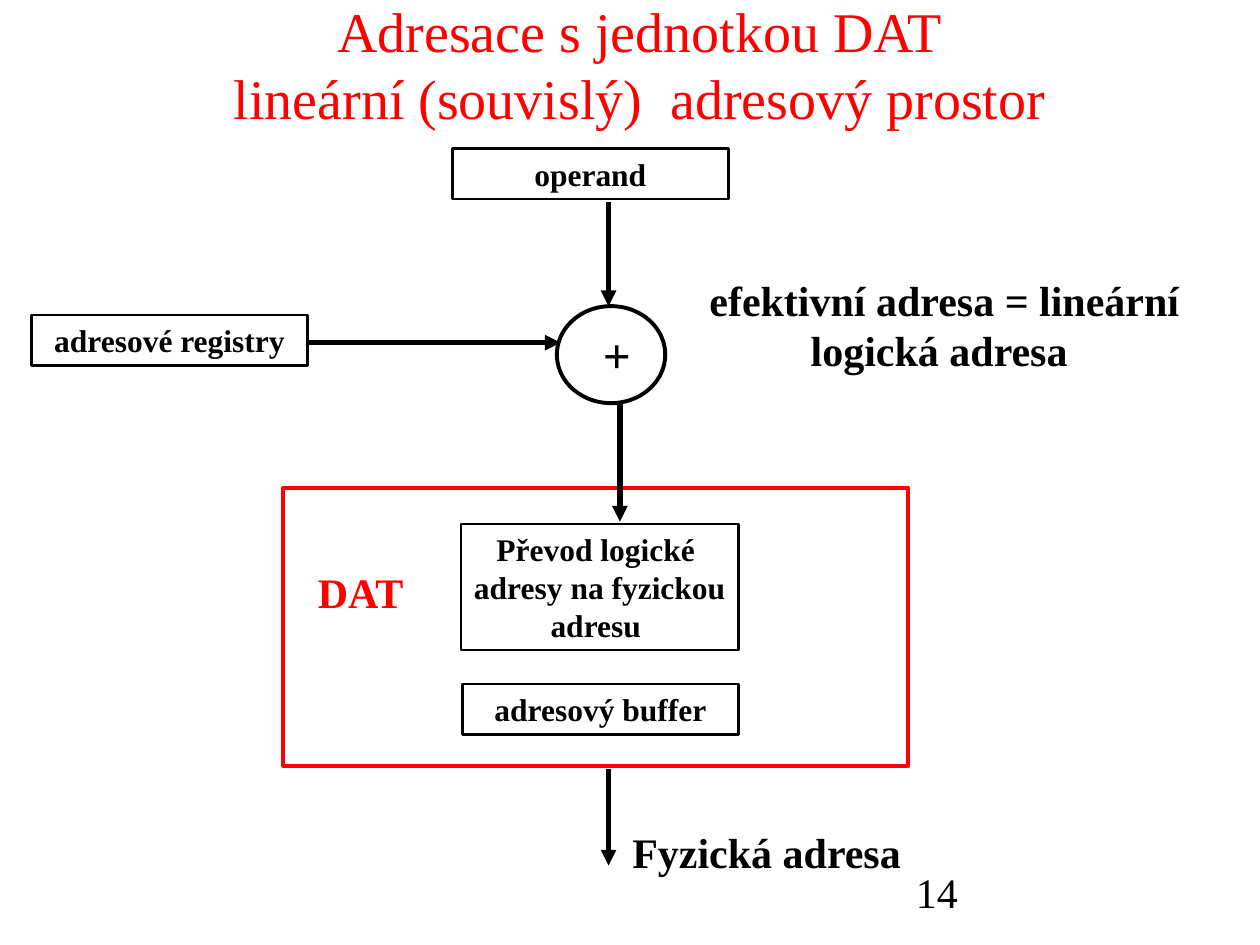
from lxml import etree
from pptx import Presentation
from pptx.dml.color import RGBColor
from pptx.enum.shapes import MSO_CONNECTOR, MSO_SHAPE
from pptx.enum.text import MSO_ANCHOR, MSO_AUTO_SIZE, PP_ALIGN
from pptx.oxml.ns import qn
from pptx.util import Inches, Pt

FONT = "Times New Roman"
BLACK, RED = "000000", "FF0000"
COLUMNS = 100
WIDTH, HEIGHT = Inches(10), Inches(7.5)


def color(hex_string):
    return RGBColor.from_string(hex_string)


def grid(*cells):
    """Lengths on a square grid, 100 cells to the slide's width."""
    return [round(WIDTH * cell / COLUMNS) for cell in cells]


def write(frame, text, size, ink=BLACK, align=PP_ALIGN.CENTER, bold=True,
          anchor=MSO_ANCHOR.TOP, wrap=True):
    frame.text = text
    frame.word_wrap = wrap
    frame.auto_size = MSO_AUTO_SIZE.NONE
    frame.vertical_anchor = anchor
    for paragraph in frame.paragraphs:
        paragraph.alignment = align
        font = paragraph.font
        font.name, font.size, font.bold = FONT, Pt(size), bold
        font.color.rgb = color(ink)


def add_outline(slide, place, ink=BLACK, weight=2.25, kind=MSO_SHAPE.RECTANGLE):
    outline = slide.shapes.add_shape(kind, *grid(*place))
    outline.shadow.inherit = False
    outline.fill.background()
    outline.line.color.rgb = color(ink)
    outline.line.width = Pt(weight)
    return outline


def add_box(slide, place, text, wrap=True):
    box = add_outline(slide, place, weight=1.5)
    write(box.text_frame, text, 18, wrap=wrap)


def add_label(slide, place, text, size=24, **style):
    label = slide.shapes.add_textbox(*grid(*place))
    write(label.text_frame, text, size, **style)


def add_arrow(slide, *ends):
    arrow = slide.shapes.add_connector(MSO_CONNECTOR.STRAIGHT, *grid(*ends))
    arrow.line.color.rgb = color(BLACK)
    arrow.line.width = Pt(3)
    etree.SubElement(arrow.line._get_or_add_ln(), qn("a:tailEnd"), type="triangle")
    etree.SubElement(arrow._element.spPr, qn("a:effectLst"))


def add_title(slide, text):
    title = slide.shapes.title
    title.left, title.top, title.width, title.height = grid(8.3, -0.8, 85, 11.7)
    write(title.text_frame, text, 32, RED, bold=False, anchor=MSO_ANCHOR.MIDDLE)


def main():
    deck = Presentation()
    deck.slide_width, deck.slide_height = WIDTH, HEIGHT
    slide = deck.slides.add_slide(deck.slide_layouts[5])
    add_title(slide, "Adresace s jednotkou DAT\vlineární (souvislý)  adresový prostor")

    add_outline(slide, (22.5, 38.7, 49.6, 22.1), RED)
    add_label(slide, (21.6, 44.5, 11.4, 5), "DAT", ink=RED, align=PP_ALIGN.RIGHT)
    add_box(slide, (36.6, 41.6, 22, 10),
            "Převod logické \nadresy na fyzickou\nadresu ", wrap=False)
    for left, top, text in ((36.7, 54.3, "adresový buffer"),
                            (2.5, 25, "adresové registry"),
                            (35.9, 11.8, "operand")):
        add_box(slide, (left, top, 21.9, 4), text)

    for ends in ((49.2, 31.8, 49.2, 41.4),
                 (24.4, 27.2, 44.5, 27.2),
                 (48.3, 16, 48.3, 24.3),
                 (48.3, 61, 48.3, 68.7)):
        add_arrow(slide, *ends)

    add_outline(slide, (44.2, 24.3, 8.6, 7.7), kind=MSO_SHAPE.OVAL)
    add_label(slide, (45.4, 25.3, 7.1, 5.7), "+", 28)
    add_label(slide, (54.9, 21.3, 40.1, 9), "efektivní adresa = lineární logická adresa ")
    add_label(slide, (49.2, 65.1, 30, 5), "Fyzická adresa", align=PP_ALIGN.LEFT)
    add_label(slide, (71.7, 68.3, 20.8, 5), "14", align=PP_ALIGN.LEFT, bold=False)

    deck.save("out.pptx")


if __name__ == "__main__":
    main()
